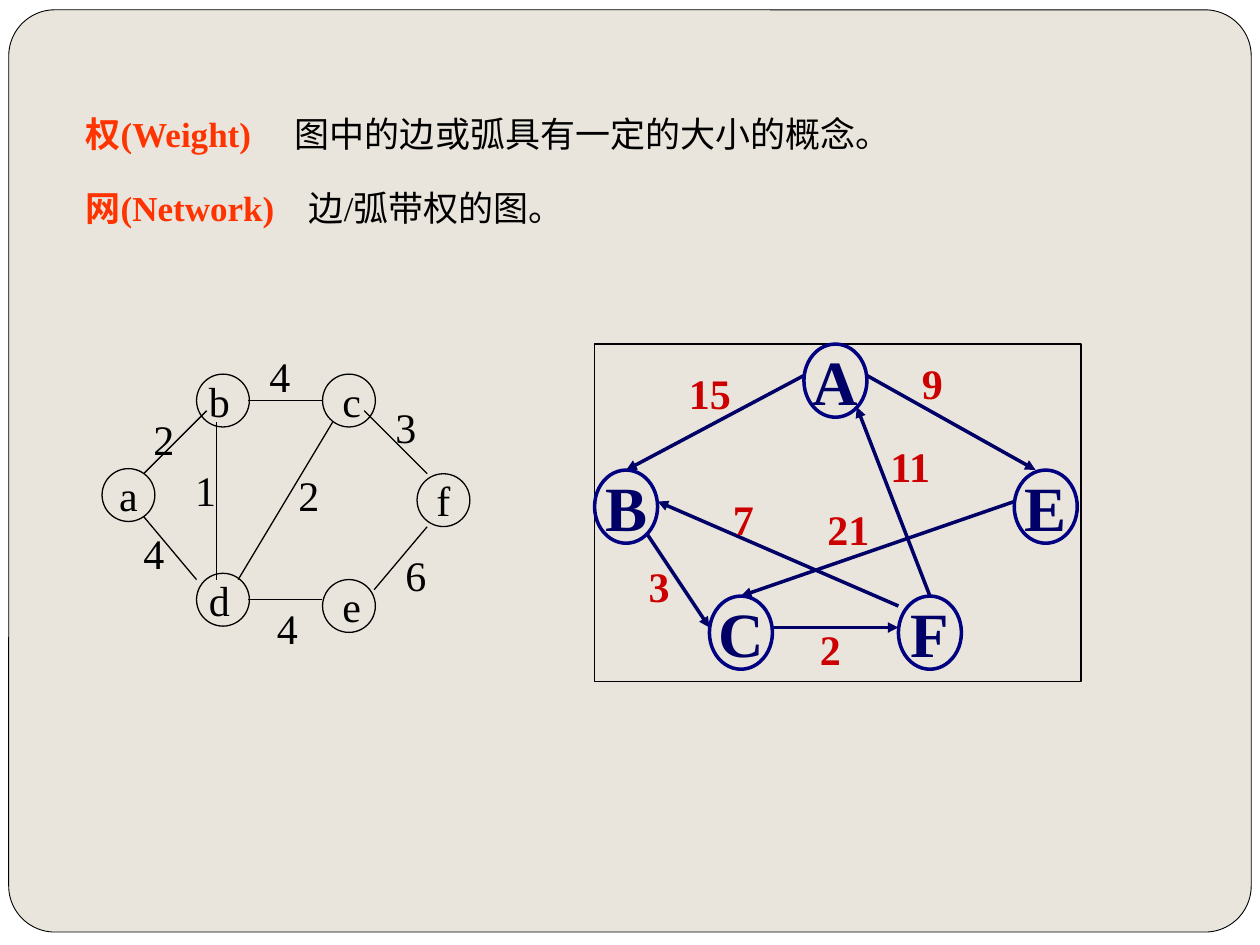
from lxml.etree import SubElement
from pptx import Presentation
from pptx.dml.color import RGBColor
from pptx.enum.shapes import MSO_CONNECTOR, MSO_SHAPE
from pptx.enum.text import MSO_ANCHOR, MSO_AUTO_SIZE, PP_ALIGN
from pptx.oxml.ns import qn
from pptx.util import Pt

FACE = "Times New Roman"
BLACK, NAVY, BLUE, RED = "000000", "000066", "000080", "CC0000"

TERMS = [
    ("权(Weight)", "图中的边或弧具有一定的大小的概念。", 119.6),
    ("网(Network)", "边/弧带权的图。", 127.6),
]

PLAIN = {
    "size": (30.2, 30.2), "ring": BLACK, "ink": BLACK, "line": 0.75,
    "font": 24, "bold": False, "arrow": False, "mark": BLACK,
    "nodes": [("", 112.3, 213.8), ("", 112.3, 327.6), ("", 184.3, 213.8),
              ("a", 58.3, 267.8), ("", 184.3, 331.2), ("f", 238.3, 270.7)],
    "edges": [(141.8, 342.7, 184.3, 342.7), (141.8, 229, 184.3, 229),
              (82.1, 270.7, 118.1, 234.7), (82.1, 295.2, 112.3, 331.2),
              (244.1, 301, 213.8, 337), (208.1, 234.7, 244.1, 270.7),
              (123.8, 241.2, 123.8, 331.2), (190.1, 241.2, 136.1, 331.2)],
    "marks": [("b", 112.3, 211), ("d", 112.3, 324.7), ("c", 188.6, 211),
              ("e", 188.6, 328.3), ("2", 80.6, 232.6), ("1", 104.4, 262.1),
              ("4", 74.9, 298.1), ("4", 146.9, 196.6), ("3", 218.9, 226.1),
              ("2", 163.4, 265), ("4", 151.2, 340.6), ("6", 224.6, 310.3)],
}

ARCS = {
    "size": (36, 41.8), "ring": BLUE, "ink": NAVY, "line": 2,
    "font": 36, "bold": True, "arrow": True, "mark": RED,
    "frame": (339.8, 196.6, 277.9, 193),
    "nodes": [("A", 459.4, 196.6), ("B", 339.8, 268.6), ("E", 579.6, 268.6),
              ("C", 405.4, 340.6), ("F", 513.4, 340.6)],
    "edges": [(459.4, 214.6, 357.8, 268.6), (369.4, 304.6, 405.4, 358.6),
              (441.4, 358.6, 513.4, 358.6), (531.4, 340.6, 489.6, 232.6),
              (495.4, 214.6, 591.8, 268.6), (513.4, 346.3, 375.8, 286.6),
              (579.6, 286.6, 423.4, 340.6)],
    "marks": [("15", 386.6, 206.6), ("9", 519.8, 200.9), ("7", 411.8, 278.6),
              ("21", 465.8, 284.4), ("11", 501.8, 248.4), ("3", 363.6, 316.8),
              ("2", 461.5, 352.8)],
}


def tint(code):
    return RGBColor.from_string(code)


def style(font, size, code, bold=False):
    font.name = FACE
    font.size = Pt(size)
    font.bold = bold
    font.color.rgb = tint(code)


def shape(home, kind, box, fill, line, width=0.75):
    item = home.add_shape(kind, *map(Pt, box))
    item.shadow.inherit = False
    if fill:
        item.fill.solid()
        item.fill.fore_color.rgb = tint(fill)
    else:
        item.fill.background()
    item.line.color.rgb = tint(line)
    item.line.width = Pt(width)
    return item


def edge(home, ends, graph):
    item = home.add_connector(MSO_CONNECTOR.STRAIGHT, *map(Pt, ends))
    item.line.color.rgb = tint(graph["ink"])
    item.line.width = Pt(graph["line"])
    if graph["arrow"]:
        SubElement(item.line._get_or_add_ln(), qn("a:tailEnd"), type="triangle")
    SubElement(item._element.spPr, qn("a:effectLst"))


def node(home, name, left, top, graph):
    item = shape(home, MSO_SHAPE.OVAL, (left, top, *graph["size"]),
                 None, graph["ring"], graph["line"])
    if name:
        frame = item.text_frame
        frame.text = name
        frame.word_wrap = False
        frame.vertical_anchor = MSO_ANCHOR.MIDDLE
        frame.paragraphs[0].alignment = PP_ALIGN.CENTER
        style(frame.paragraphs[0].runs[0].font, graph["font"], graph["ink"], graph["bold"])


def mark(home, text, left, top, graph):
    wide = 14.6 + 12 * len(text)
    frame = home.add_textbox(Pt(left), Pt(top), Pt(wide), Pt(36)).text_frame
    frame.text = text
    frame.word_wrap = False
    frame.auto_size = MSO_AUTO_SIZE.SHAPE_TO_FIT_TEXT
    style(frame.paragraphs[0].runs[0].font, 24, graph["mark"], graph["bold"])


def draw(slide, graph):
    home = slide.shapes.add_group_shape().shapes
    if "frame" in graph:
        shape(home, MSO_SHAPE.RECTANGLE, graph["frame"], None, BLACK)
    for ends in graph["edges"]:
        edge(home, ends, graph)
    for item in graph["nodes"]:
        node(home, *item, graph)
    for item in graph["marks"]:
        mark(home, *item, graph)


def define(slide):
    box = slide.shapes.add_textbox(Pt(41.8), Pt(49), Pt(617.8), Pt(391))
    frame = box.text_frame
    frame.word_wrap = True
    for count, (term, sense, stop) in enumerate(TERMS):
        para = frame.add_paragraph() if count else frame.paragraphs[0]
        para.line_spacing = 1.5
        if count:
            para.space_before = Pt(5.8)
        tabs = SubElement(para._p.get_or_add_pPr(), qn("a:tabLst"))
        SubElement(tabs, qn("a:tab"), pos=str(Pt(stop)), algn="l")
        for text, code, bold in ((term + "\t", "FF3300", True), (sense, BLACK, False)):
            run = para.add_run()
            run.text = text
            style(run.font, 20, code, bold)


def main():
    deck = Presentation()
    deck.slide_width, deck.slide_height = Pt(720), Pt(540)
    slide = deck.slides.add_slide(deck.slide_layouts[6])
    slide.background.fill.solid()
    slide.background.fill.fore_color.rgb = tint("FFFFFF")
    panel = shape(slide.shapes, MSO_SHAPE.ROUNDED_RECTANGLE,
                  (5, 5.6, 710, 527), "E9E5DC", BLACK, 0.5)
    panel.adjustments[0] = 0.05
    define(slide)
    draw(slide, ARCS)
    draw(slide, PLAIN)
    deck.save("out.pptx")


if __name__ == "__main__":
    main()
